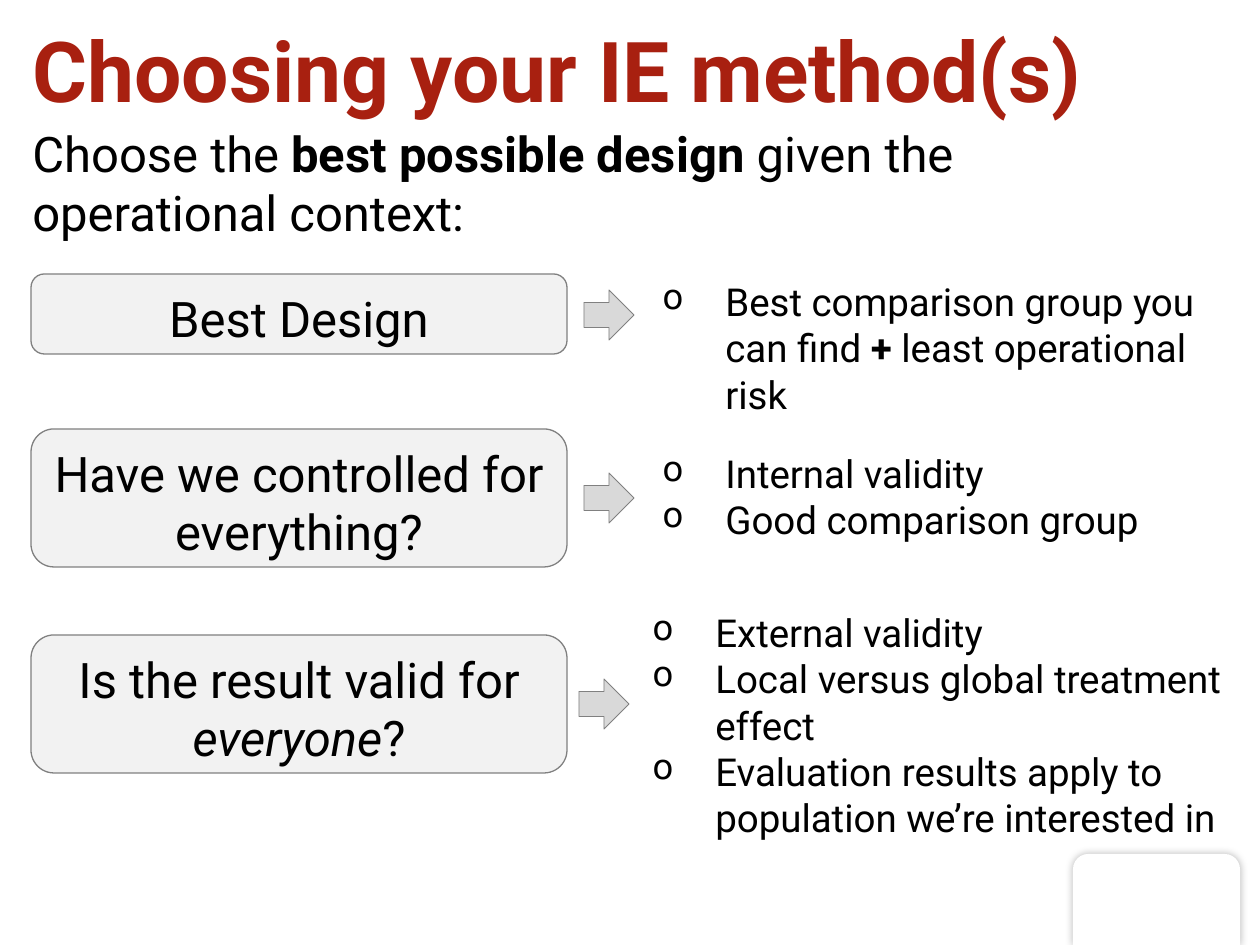
import pptx
import pptx.dml.color
import pptx.enum.shapes
import pptx.enum.text
import pptx.oxml
import pptx.oxml.ns
import pptx.util

SHAPES = pptx.enum.shapes.MSO_SHAPE
ALIGN = pptx.enum.text.PP_ALIGN
ANCHOR = pptx.enum.text.MSO_ANCHOR
EMU_PER_PX = 914400 / 126
NS = pptx.oxml.ns.nsdecls("a")

TITLE_FONT = {"name": "Roboto", "size": pptx.util.Pt(48), "bold": True}
LEAD_FONT = {"name": "Roboto", "size": pptx.util.Pt(28)}
POINT_FONT = {"name": "Roboto", "size": pptx.util.Pt(22)}

QUESTIONS = [
    {"text": [("Best Design", {})], "box": (274, 80), "arrow": (584, 290),
     "points_at": (650, 272, 600, 152),
     "points": [[("Best comparison group you can find ", {}), ("+", {"bold": True}),
                 (" least operational risk", {})]]},
    {"text": [("Have we controlled for everything?", {})], "box": (429, 138), "arrow": (584, 473),
     "points_at": (650, 444, 600, 106),
     "points": [[("Internal validity", {})], [("Good comparison group", {})]]},
    {"text": [("Is the result valid for ", {}), ("everyone", {"italic": True}), ("?", {})],
     "box": (635, 138), "arrow": (579, 679),
     "points_at": (640, 603, 620, 246),
     "points": [[("External validity", {})],
                [("Local versus global treatment effect", {})],
                [("Evaluation results apply to population we’re interested in", {})]]},
]


def px(length):
    return pptx.util.Emu(round(length * EMU_PER_PX))


def color(hex_value):
    return pptx.dml.color.RGBColor.from_string(hex_value)


def apply(target, formats):
    for attribute, value in formats.items():
        setattr(target, attribute, value)


def write_runs(paragraph, runs, font, ink="000000"):
    for words, emphasis in runs:
        run = paragraph.add_run()
        run.text = words
        apply(run.font, {**font, **emphasis})
        run.font.color.rgb = color(ink)


def add_text(slide, place, runs, font, ink="000000", anchor=ANCHOR.TOP):
    frame = slide.shapes.add_textbox(*map(px, place)).text_frame
    apply(frame, {"word_wrap": True, "vertical_anchor": anchor})
    write_runs(frame.paragraphs[0], runs, font, ink)


def add_panel(slide, kind, place, fill, outline=None, width=0.75):
    panel = slide.shapes.add_shape(kind, *map(px, place))
    panel.shadow.inherit = False
    panel.fill.solid()
    panel.fill.fore_color.rgb = color(fill)
    if outline:
        panel.line.color.rgb = color(outline)
        panel.line.width = pptx.util.Pt(width)
    else:
        panel.line.fill.background()
    return panel


def add_question(slide, top, height, runs):
    box = add_panel(slide, SHAPES.ROUNDED_RECTANGLE, (31, top, 536, height), "F2F2F2", "808080")
    frame = box.text_frame
    apply(frame, {"word_wrap": True, "vertical_anchor": ANCHOR.MIDDLE,
                  "margin_top": px(14), "margin_bottom": px(6)})
    frame.paragraphs[0].alignment = ALIGN.CENTER
    write_runs(frame.paragraphs[0], runs, LEAD_FONT)


def add_points(slide, place, points):
    frame = slide.shapes.add_textbox(*map(px, place)).text_frame
    frame.word_wrap = True
    for index, runs in enumerate(points):
        paragraph = frame.add_paragraph() if index else frame.paragraphs[0]
        properties = paragraph._p.get_or_add_pPr()
        properties.set("marL", str(px(63)))
        properties.set("indent", str(px(-63)))
        for bullet in ('buSzPct {} val="90000"', 'buChar {} char="o"'):
            properties.append(pptx.oxml.parse_xml(f"<a:{bullet.format(NS)}/>"))
        write_runs(paragraph, runs, POINT_FONT)


def add_corner_plate(slide):
    plate = add_panel(slide, SHAPES.ROUND_2_SAME_RECTANGLE, (1073, 854, 167, 91), "FFFFFF")
    effects = plate._element.spPr.find(pptx.oxml.ns.qn("a:effectLst"))
    effects.append(pptx.oxml.parse_xml(
        f'<a:outerShdw {NS} blurRad="{pptx.util.Pt(5)}" dist="0" dir="0">'
        '<a:srgbClr val="000000"><a:alpha val="30000"/></a:srgbClr></a:outerShdw>'))


def main():
    deck = pptx.Presentation()
    apply(deck, {"slide_width": px(1260), "slide_height": px(945)})
    slide = deck.slides.add_slide(deck.slide_layouts[6])
    add_corner_plate(slide)
    add_text(slide, (20, 10, 1221, 118), [("Choosing your IE method(s)", {})],
             TITLE_FONT, "A82010", ANCHOR.MIDDLE)
    add_text(slide, (20, 117, 1058, 131),
             [("Choose the ", {}), ("best possible design", {"bold": True}),
              (" given the operational context:", {})], LEAD_FONT)
    for question in QUESTIONS:
        add_question(slide, *question["box"], question["text"])
        add_panel(slide, SHAPES.RIGHT_ARROW, (*question["arrow"], 50, 50), "D9D9D9", "808080", 0.5)
        add_points(slide, question["points_at"], question["points"])
    deck.save("out.pptx")


if __name__ == "__main__":
    main()
